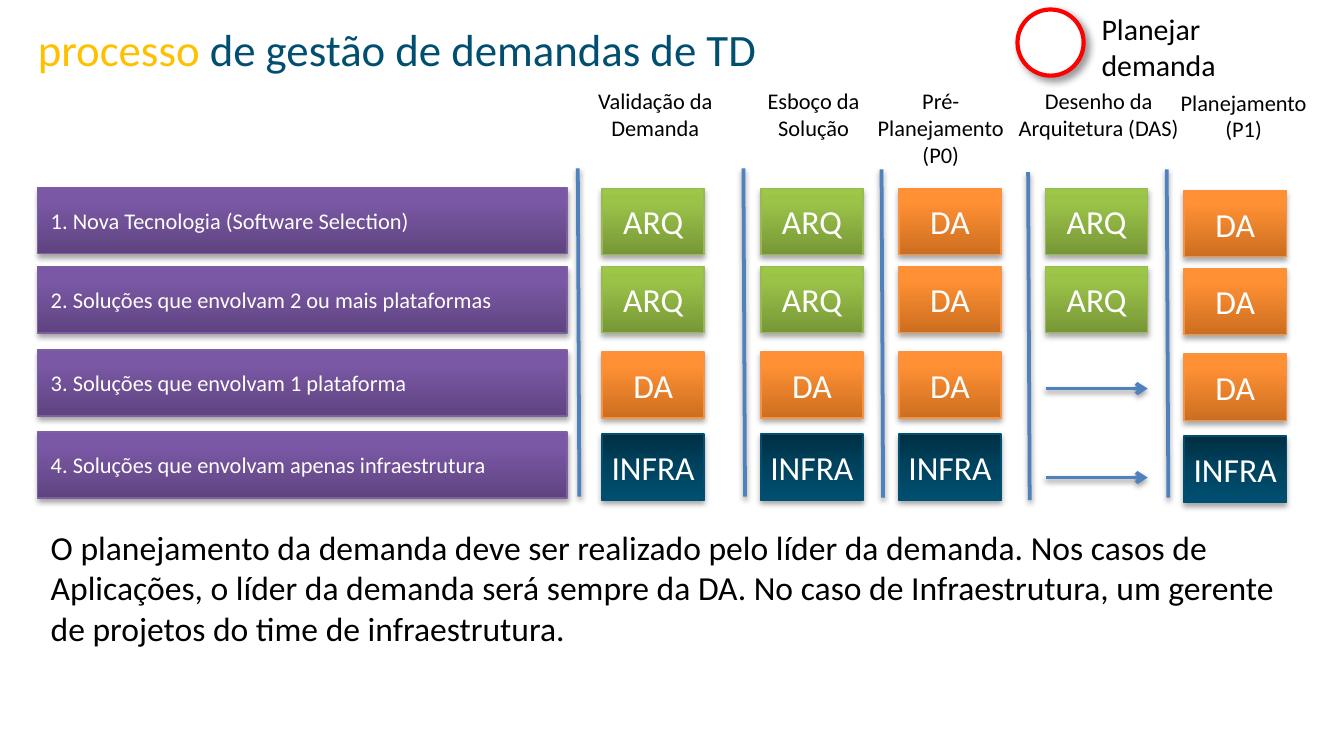
from copy import deepcopy

from lxml.etree import SubElement
from pptx import Presentation
from pptx.dml.color import RGBColor
from pptx.enum.shapes import MSO_CONNECTOR, MSO_SHAPE
from pptx.enum.text import MSO_ANCHOR, MSO_AUTO_SIZE, PP_ALIGN
from pptx.oxml.ns import qn
from pptx.util import Cm, Pt

# Gradient stops (percent, colour), gradient angle and outline of each team
PURPLE = ([(0, "5F4480"), (80, "7B58A6"), (100, "7C57A8")], 90, "7D60A0")
TEAMS = {
    "ARQ": ([(0, "779737"), (80, "9BC348"), (100, "9DC746")], 90, "98B955"),
    "DA": ([(0, "CC6E20"), (80, "FF9034"), (100, "FF9136")], 90, "F69240"),
    "INFRA": ([(0, "002F43"), (50, "00435F"), (100, "004F71")], 270, "004F71"),
}
BLUE = "4F81BD"
# Shadows: opacity in percent, blur and distance in points, direction in degrees
BAR_SHADOW = (35, 3.1, 1.8, 90)
LINE_SHADOW = (38, 3.1, 1.6, 90)
CIRCLE_SHADOW = (40, 4, 3, 45)

DEMANDS = [
    "1. Nova Tecnologia (Software Selection)",
    "2. Soluções que envolvam 2 ou mais plataformas",
    "3. Soluções que envolvam 1 plataforma",
    "4. Soluções que envolvam apenas infraestrutura",
]
DEMAND_TOPS = [3.54, 5.04, 6.61, 8.16]
TILE_TOPS = [3.56, 5.03, 6.65, 8.2]
BAR_HEIGHT = 1.25
TILE_WIDTH = 1.93

# Heading, heading box, separator start, tile left, drop, team per demand
STAGES = [
    (["Validação da Demanda"], (10.57, 1.52, 3.63, 1.27), (10.92, 3.18),
     11.38, 0, ["ARQ", "ARQ", "DA", "INFRA"]),
    (["Esboço da Solução"], (13.56, 1.52, 3.63, 1.27), (14.05, 3.18),
     14.38, 0, ["ARQ", "ARQ", "DA", "INFRA"]),
    (["Pré-Planejamento", "(P0)"], (16.33, 1.52, 2.9, 1.8), (16.66, 3.2),
     16.99, 0, ["DA", "DA", "DA", "INFRA"]),
    (["Desenho da Arquitetura (DAS)"], (18.95, 1.52, 3.63, 1.27), (19.43, 3.25),
     19.76, 0, ["ARQ", "ARQ", None, None]),
    (["Planejamento", "(P1)"], (21.69, 1.55, 3.63, 1.27), (22.05, 3.2),
     22.38, 0.04, ["DA", "DA", "DA", "INFRA"]),
]


def color(code):
    return RGBColor.from_string(code)


def apply(target, **values):
    for name, value in values.items():
        setattr(target, name, value)


def add_shadow(item, opacity, blur, distance, direction):
    properties = item._element.spPr
    effects = properties.find(qn("a:effectLst"))
    if effects is None:
        effects = SubElement(properties, qn("a:effectLst"))
    outer = SubElement(effects, qn("a:outerShdw"), blurRad=str(Pt(blur)),
                       dist=str(Pt(distance)), dir=str(direction * 60000),
                       rotWithShape="0")
    black = SubElement(outer, qn("a:srgbClr"), val="000000")
    SubElement(black, qn("a:alpha"), val=str(opacity * 1000))


def write(frame, paragraphs, size, align=PP_ALIGN.LEFT, **frame_format):
    """Each paragraph is a list of (text, colour) runs."""
    apply(frame, word_wrap=True)
    apply(frame, **frame_format)
    for index, runs in enumerate(paragraphs):
        paragraph = frame.add_paragraph() if index else frame.paragraphs[0]
        paragraph.alignment = align
        for text, code in runs:
            run = paragraph.add_run()
            run.text = text
            apply(run.font, size=Pt(size), name="Calibri")
            run.font.color.rgb = color(code)


def add_text(slide, box, lines, size, **text_format):
    frame = slide.shapes.add_textbox(*map(Cm, box)).text_frame
    write(frame, [[(line, "000000")] for line in lines], size,
          auto_size=MSO_AUTO_SIZE.SHAPE_TO_FIT_TEXT, **text_format)


def add_bar(slide, box, look, text, size, **text_format):
    stops, angle, outline = look
    bar = slide.shapes.add_shape(MSO_SHAPE.RECTANGLE, *map(Cm, box))
    bar.fill.gradient()
    bar.fill.gradient_angle = angle
    stop_list = bar._element.spPr.find(".//" + qn("a:gsLst"))
    stop_list.append(deepcopy(stop_list[-1]))
    for stop, (percent, code) in zip(bar.fill.gradient_stops, stops):
        stop.color.rgb = color(code)
        stop.position = percent / 100
    bar.line.color.rgb = color(outline)
    bar.line.width = Pt(0.75)
    bar.shadow.inherit = False
    add_shadow(bar, *BAR_SHADOW)
    write(bar.text_frame, [[(text, "FFFFFF")]], size,
          vertical_anchor=MSO_ANCHOR.MIDDLE, **text_format)


def add_line(slide, left, top, width, height, arrow=False):
    line = slide.shapes.add_connector(
        MSO_CONNECTOR.STRAIGHT, Cm(left), Cm(top), Cm(left + width), Cm(top + height))
    line.line.color.rgb = color(BLUE)
    line.line.width = Pt(2)
    if arrow:
        SubElement(line.line._get_or_add_ln(), qn("a:tailEnd"), type="arrow")
    add_shadow(line, *LINE_SHADOW)


def add_title(slide, box):
    title = slide.shapes.title
    apply(title, **dict(zip(("left", "top", "width", "height"), map(Cm, box))))
    write(title.text_frame,
          [[("processo ", "FFC000"), ("de gestão de demandas de TD", "004F71")]], 24,
          vertical_anchor=MSO_ANCHOR.TOP, auto_size=MSO_AUTO_SIZE.SHAPE_TO_FIT_TEXT)


def add_step_badge(slide, left, top):
    circle = slide.shapes.add_shape(
        MSO_SHAPE.OVAL, Cm(left), Cm(top + 0.1), Cm(1.25), Cm(1.25))
    circle.fill.solid()
    circle.fill.fore_color.rgb = color("FFFFFF")
    circle.line.color.rgb = color("FF0000")
    circle.line.width = Pt(2.25)
    circle.shadow.inherit = False
    add_shadow(circle, *CIRCLE_SHADOW)
    add_text(slide, (left + 1.34, top, 2.9, 1.63), ["Planejar", "demanda"], 16,
             word_wrap=False)


def add_demands(slide, left, width):
    for top, demand in zip(DEMAND_TOPS, DEMANDS):
        add_bar(slide, (left, top, width, BAR_HEIGHT), PURPLE, demand, 12)


def add_stage(slide, heading, heading_box, separator, left, drop, teams):
    add_text(slide, heading_box, heading, 12, align=PP_ALIGN.CENTER)
    add_line(slide, *separator, 0.03, 6.2)
    for top, team in zip(TILE_TOPS, teams):
        if team:
            margins = dict(margin_left=0, margin_right=0) if team == "INFRA" else {}
            add_bar(slide, (left, top + drop, TILE_WIDTH, BAR_HEIGHT), TEAMS[team],
                    team, 18, align=PP_ALIGN.CENTER, **margins)


def add_skip_arrows(slide, left, tops):
    for top in tops:
        add_line(slide, left, top, TILE_WIDTH, 0, arrow=True)


def main():
    deck = Presentation()
    apply(deck, slide_width=Cm(25.4), slide_height=Cm(14.28))
    slide = deck.slides.add_slide(deck.slide_layouts[5])

    # Header
    add_title(slide, (0.46, 0.28, 22.38, 1.27))
    add_step_badge(slide, 19.23, 0.08)

    # Demand types against process stages
    add_demands(slide, 0.71, 10.01)
    for stage in STAGES:
        add_stage(slide, *stage)
    add_skip_arrows(slide, 19.76, [7.34, 9.02])

    # Closing explanation
    add_text(slide, (0.71, 9.83, 24, 2.57), [
        "O planejamento da demanda deve ser realizado pelo líder da demanda. "
        "Nos casos de Aplicações, o líder da demanda será sempre da DA. "
        "No caso de Infraestrutura, um gerente de projetos do time de infraestrutura."], 18)

    deck.save("out.pptx")


if __name__ == "__main__":
    main()
